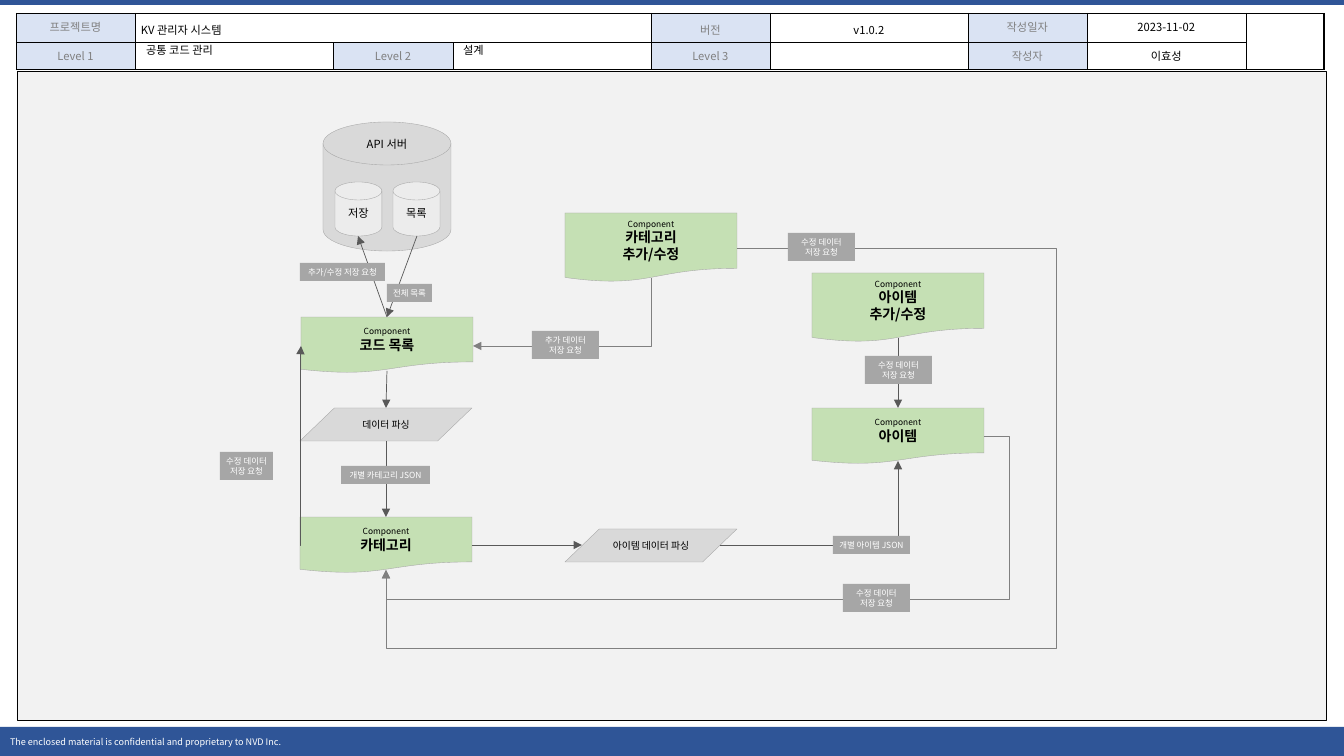
from lxml import etree
from pptx import Presentation
from pptx import util as u
from pptx.dml.color import RGBColor
from pptx.enum import shapes, text
from pptx.oxml import ns

FONT = "Noto Sans CJK KR"
COLORS = {"navy": "2F5597", "label": "DAE3F3", "canvas": "F2F2F2", "green": "C5E0B4",
          "light": "D9D9D9", "tag": "A6A6A6", "gray": "808080", "dark": "595959",
          "black": "000000", "white": "FFFFFF"}
EMU_PER_PX = 914400 / 100.8
KIND = shapes.MSO_SHAPE
ALIGN = text.PP_ALIGN
MIDDLE = text.MSO_ANCHOR.MIDDLE

FOOTER = "The enclosed material is confidential and proprietary to NVD Inc."
COLUMNS = [119, 198, 120, 198, 119, 198, 119, 159, 78]
ROWS = [29, 27]
HEADER = [["프로젝트명", "KV 관리자 시스템", "", "", "버전", "v1.0.2", "작성일자", "2023-11-02", ""],
          ["Level 1", "", "Level 2", "", "Level 3", "", "작성자", "이효성", ""]]
LOOSE_COLUMNS = (1, 4, 5)
TITLES = [("공통 코드 관리", 136), ("설계", 453)]

DISKS = [("", 323, 122, 128, 129, 0), ("목록", 393, 182, 47, 54, 50), ("저장", 335, 182, 47, 54, 50)]
SERVER = ("API 서버", 323, 134, 128, 20)
PARSERS = {"데이터 파싱": (300, 408), "아이템 데이터 파싱": (565, 529)}
COMPONENTS = {"코드 목록": (301, 317, ["코드 목록"]),
              "카테고리": (300, 517, ["카테고리"]),
              "아이템": (812, 408, ["아이템"]),
              "카테고리 수정": (565, 213, ["카테고리", "추가/수정"]),
              "아이템 수정": (812, 273, ["아이템", "추가/수정"])}
STRAIGHT = [((387, 317), (358, 236), ("코드 목록", 0), None),
            ((417, 236), (387, 317), None, ("코드 목록", 0)),
            ((387, 371), (386, 408), ("코드 목록", 2), None),
            ((386, 441), (386, 517), None, ("카테고리", 0)),
            ((472, 545), (582, 545), ("카테고리", 3), None),
            ((898, 338), (898, 408), ("아이템 수정", 2), ("아이템", 0))]
BENT = [((300, 545), (301, 346), ("카테고리", 1), ("코드 목록", 1), (250,), "dark", "tailEnd"),
        ((720, 545), (898, 461), ("아이템 데이터 파싱", 5), ("아이템", 2), (), "dark", "tailEnd"),
        ((473, 346), (651, 278), ("코드 목록", 3), ("카테고리 수정", 2), (), "gray", "headEnd"),
        ((737, 248), (386, 570), ("카테고리 수정", 3), ("카테고리", 2), (1056, 648), "gray", "tailEnd"),
        ((984, 436), (386, 570), ("아이템", 3), ("카테고리", 2), (1010, 599), "gray", "tailEnd")]
EDIT = ["수정 데이터", "저장 요청"]
TAGS = [(["추가/수정 저장 요청"], 300, 263, 85, 18), (["전체 목록"], 387, 284, 45, 18),
        (["개별 카테고리 JSON"], 341, 466, 89, 18), (["개별 아이템 JSON"], 833, 536, 77, 18),
        (["추가 데이터", "저장 요청"], 532, 331, 67, 28), (EDIT, 220, 452, 53, 28),
        (EDIT, 865, 356, 67, 28), (EDIT, 788, 233, 67, 28), (EDIT, 843, 584, 67, 28)]


def px(n):
    return u.Emu(round(n * EMU_PER_PX))


def rgb(name):
    return RGBColor.from_string(COLORS[name])


def write(frame, lines, color="black", align=ALIGN.CENTER, anchor=MIDDLE, inset=0, wrap=True):
    frame.word_wrap = wrap
    frame.vertical_anchor = anchor
    frame.margin_left = frame.margin_right = px(inset)
    frame.margin_top = frame.margin_bottom = 0
    for i, (words, size, bold) in enumerate(lines):
        line = frame.paragraphs[0] if i == 0 else frame.add_paragraph()
        line.alignment = align
        add_words(line, words, size, bold, color)


def add_words(line, words, size, bold, color):
    run = line.add_run()
    run.text = words
    run.font.size, run.font.bold, run.font.name = u.Pt(size), bold, FONT
    run.font.color.rgb = rgb(color)
    etree.SubElement(run.font._element, ns.qn("a:ea"), typeface=FONT)


def draw(kind, box, fill, line=None, opacity=None):
    shape = slide.shapes.add_shape(kind, *map(px, box))
    shape.shadow.inherit = False
    shape.fill.solid()
    shape.fill.fore_color.rgb = rgb(fill)
    if opacity:
        tint = shape._element.spPr.find(".//" + ns.qn("a:srgbClr"))
        etree.SubElement(tint, ns.qn("a:alpha"), val=str(opacity * 1000))
    if line:
        shape.line.color.rgb = rgb(line)
        shape.line.width = u.Pt(0.25)
    else:
        shape.line.fill.background()
    return shape


def connect(kind, start, end, source, target, color, head="tailEnd"):
    arrow = slide.shapes.add_connector(kind, *map(px, start + end))
    arrow.line.color.rgb = rgb(color)
    arrow.line.width = u.Pt(0.5)
    etree.SubElement(arrow.line._get_or_add_ln(), ns.qn("a:" + head), type="triangle")
    etree.SubElement(arrow._element.spPr, ns.qn("a:effectLst"))
    joints = arrow._element.nvCxnSpPr.cNvCxnSpPr
    if source:
        arrow.begin_connect(nodes[source[0]], 0)
        joints.stCxn.idx = source[1]
    if target:
        arrow.end_connect(nodes[target[0]], 0)
        joints.endCxn.idx = target[1]
    arrow.begin_x, arrow.begin_y = map(px, start)
    arrow.end_x, arrow.end_y = map(px, end)
    return arrow


def bend(arrow, start, end, turns):
    geometry = arrow._element.spPr.find(ns.qn("a:prstGeom"))
    geometry.set("prst", f"bentConnector{len(turns) + 2}")
    guides = geometry.find(ns.qn("a:avLst"))
    for i, turn in enumerate(turns):
        share = (turn - start[i]) / (end[i] - start[i])
        name = "adj" if len(turns) == 1 else f"adj{i + 1}"
        etree.SubElement(guides, ns.qn("a:gd"), name=name, fmla=f"val {round(share * 100000)}")


def border(cell, widths):
    props = cell._tc.get_or_add_tcPr()
    for i, (side, width) in enumerate(widths.items()):
        edge = etree.Element(ns.qn("a:ln" + side), w=str(u.Pt(width)))
        ink = etree.SubElement(edge, ns.qn("a:solidFill"))
        etree.SubElement(ink, ns.qn("a:srgbClr"), val=COLORS["black"])
        props.insert(i, edge)


def add_header():
    table = slide.shapes.add_table(2, 9, *map(px, (16, 13, sum(COLUMNS), sum(ROWS)))).table
    for column, width in zip(table.columns, COLUMNS):
        column.width = px(width)
    for r, height in enumerate(ROWS):
        table.rows[r].height = px(height)
        for c, words in enumerate(HEADER[r]):
            cell = table.cell(r, c)
            label = c in (0, 4, 6) or (r, c) == (1, 2)
            cell.fill.solid()
            cell.fill.fore_color.rgb = rgb("label" if label else "white")
            cell.margin_left = cell.margin_right = px(6)
            cell.margin_top = cell.margin_bottom = px(5)
            line = cell.text_frame.paragraphs[0]
            line.alignment = ALIGN.LEFT if c == 1 else ALIGN.CENTER
            if r == 0 and c in LOOSE_COLUMNS:
                line.line_spacing = 1.2
            if words:
                add_words(line, words, 8, False, "gray" if label else "black")
            else:
                etree.SubElement(line._p, ns.qn("a:endParaRPr"), sz="800")
            border(cell, {"L": 0.25, "R": 1.5 if c == 8 else 0.25, "T": 0.25,
                          "B": 1.5 if r == 1 or c == 8 else 0.25})
    table.cell(0, 1).merge(table.cell(0, 3))
    table.cell(0, 8).merge(table.cell(1, 8))


def add_label(words, box, align, inset):
    label = slide.shapes.add_textbox(*map(px, box))
    write(label.text_frame, [(words, 8, False)], align=align, inset=inset)


deck = Presentation()
deck.slide_width, deck.slide_height = px(1344), px(756)
slide = deck.slides.add_slide(deck.slide_layouts[6])
nodes = {}

draw(KIND.RECTANGLE, (0, 0, 1344, 5), "navy")
footer = draw(KIND.RECTANGLE, (0, 727, 1344, 29), "navy")
write(footer.text_frame, [(FOOTER, 6.5, False)], "white", ALIGN.LEFT, inset=10)
add_header()
draw(KIND.RECTANGLE, (17, 71, 1309, 649), "canvas", "black")
for words, x in TITLES:
    add_label(words, (x, 38, 198, 24), ALIGN.LEFT, 10)

for words, *box, opacity in DISKS:
    disk = draw(KIND.FLOWCHART_MAGNETIC_DISK, box, "white" if opacity else "light", "tag", opacity)
    if words:
        write(disk.text_frame, [(words, 8, False)])
add_label(SERVER[0], SERVER[1:], ALIGN.CENTER, 0)

for words, corner in PARSERS.items():
    nodes[words] = draw(KIND.FLOWCHART_DATA, corner + (172, 33), "light", "tag")
    write(nodes[words].text_frame, [(words, 7, False)])
for name, (x, y, lines) in COMPONENTS.items():
    height = 43 + 13 * len(lines)
    nodes[name] = draw(KIND.FLOWCHART_DOCUMENT, (x, y, 172, height), "green", "tag")
    write(nodes[name].text_frame, [("Component", 6, False)] + [(words, 10, True) for words in lines])

for start, end, source, target in STRAIGHT:
    connect(shapes.MSO_CONNECTOR.STRAIGHT, start, end, source, target, "dark")
for start, end, source, target, turns, color, head in BENT:
    arrow = connect(shapes.MSO_CONNECTOR.ELBOW, start, end, source, target, color, head)
    bend(arrow, start, end, turns)
for lines, *box in TAGS:
    tag = draw(KIND.RECTANGLE, box, "tag")
    write(tag.text_frame, [(words, 6, False) for words in lines], "white", wrap=False)

deck.save("out.pptx")
